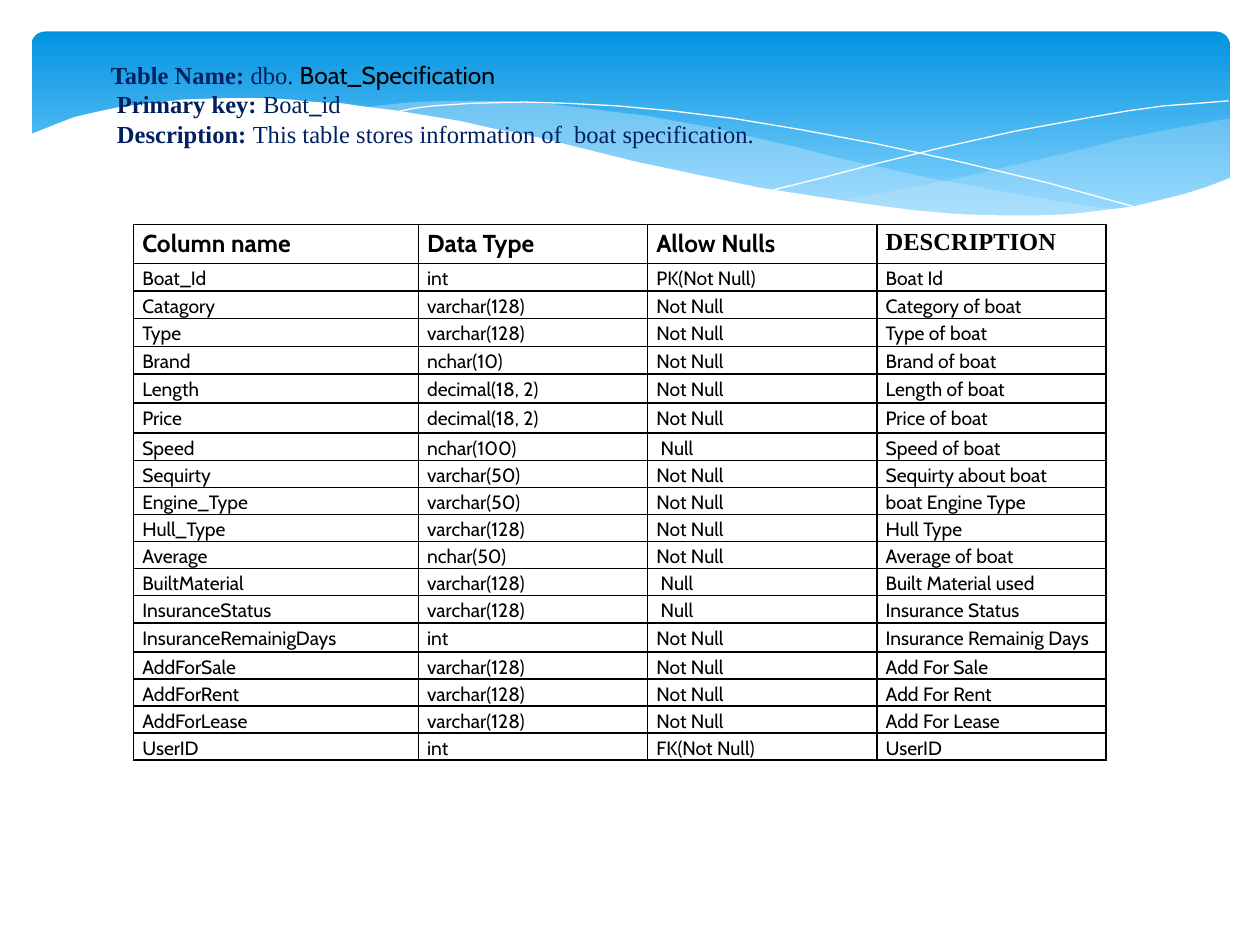
from lxml.etree import SubElement
from pptx import Presentation
from pptx.dml.color import RGBColor
from pptx.enum.shapes import MSO_SHAPE
from pptx.enum.text import MSO_ANCHOR, MSO_AUTO_SIZE, PP_ALIGN
from pptx.oxml.ns import qn
from pptx.util import Inches, Pt

COLORS = {"sky": "0293E0", "light": "83D3FE", "mist": "C6E7FC",
          "white": "FFFFFF", "black": "000000", "navy": "002060"}
SANS, SERIF = "Cabin", "Times New Roman"

# Outlines of the header waves, in inches
RIGHT_WAVE = [
    (9.76, 0.94), (9.48, 0.99), (9.21, 1.04), (8.91, 1.1), (8.61, 1.18),
    (8.05, 1.31), (7.53, 1.43), (7.06, 1.52), (6.61, 1.6), (6.91, 1.64),
    (7.19, 1.67), (7.45, 1.69), (7.69, 1.71), (7.92, 1.72), (8.35, 1.72),
    (8.63, 1.7), (8.89, 1.66), (9.13, 1.62), (9.35, 1.56), (9.63, 1.47),
    (9.76, 1.41)]
MIDDLE_WAVE = [
    (8.93, 1.67), (8.66, 1.64), (8.07, 1.54), (7.41, 1.42), (6.68, 1.26),
    (6.29, 1.16), (5.98, 1.09), (5.69, 1.02), (5.41, 0.97), (5.14, 0.92),
    (4.89, 0.89), (4.42, 0.83), (3.99, 0.8), (3.61, 0.8), (3.28, 0.81),
    (2.99, 0.84), (2.86, 0.86), (3.23, 0.9), (3.62, 0.97), (4.04, 1.06),
    (4.49, 1.16), (4.91, 1.26), (5.3, 1.35), (5.66, 1.43), (6.01, 1.5),
    (6.34, 1.56), (6.65, 1.61), (6.95, 1.65), (7.22, 1.68), (7.48, 1.7),
    (7.73, 1.72), (7.96, 1.73), (8.28, 1.73), (8.57, 1.71)]
FALLING_LINE = [
    (3.09, 0.9), (3.28, 0.86), (3.44, 0.84), (3.74, 0.82), (4.16, 0.81),
    (4.5, 0.82), (4.89, 0.84), (5.33, 0.88), (5.82, 0.94), (6.36, 1.03),
    (6.95, 1.14), (7.6, 1.28), (8.31, 1.45), (9.07, 1.66)]
RISING_LINE = [
    (6.13, 1.51), (6.53, 1.41), (6.95, 1.3), (7.48, 1.17), (8.06, 1.04),
    (8.66, 0.93), (8.95, 0.88), (9.24, 0.84), (9.51, 0.82), (9.75, 0.8)]
WHITE_WAVE = [
    (9.77, 1.41), (9.59, 1.48), (9.4, 1.54), (9.2, 1.59), (8.99, 1.64),
    (8.75, 1.67), (8.5, 1.7), (8.23, 1.71), (7.93, 1.71), (7.61, 1.7),
    (7.26, 1.67), (6.88, 1.62), (6.48, 1.56), (6.03, 1.49), (5.55, 1.39),
    (5.03, 1.28), (4.47, 1.14), (4.18, 1.07), (3.91, 1.02), (3.65, 0.96),
    (3.4, 0.92), (3.16, 0.88), (2.92, 0.85), (2.71, 0.82), (2.5, 0.81),
    (2.3, 0.79), (2.11, 0.78), (1.77, 0.78), (1.46, 0.79), (1.19, 0.82),
    (0.95, 0.85), (0.76, 0.89), (0.59, 0.93), (0.46, 0.98), (0.36, 1.02),
    (0.23, 1.07), (0.23, 2.24), (9.77, 2.24)]

HEADER = ["Column name", "Data Type", "Allow Nulls", "DESCRIPTION"]
FIELDS = [
    ("Boat_Id", "int", "PK(Not Null)", "Boat Id"),
    ("Catagory", "varchar(128)", "Not Null", "Category of boat"),
    ("Type", "varchar(128)", "Not Null", "Type of boat"),
    ("Brand", "nchar(10)", "Not Null", "Brand of boat"),
    ("Length", "decimal(18, 2)", "Not Null", "Length of boat"),
    ("Price", "decimal(18, 2)", "Not Null", "Price of boat"),
    ("Speed", "nchar(100)", " Null", "Speed of boat"),
    ("Sequirty", "varchar(50)", "Not Null", "Sequirty about boat"),
    ("Engine_Type", "varchar(50)", "Not Null", "boat Engine Type"),
    ("Hull_Type", "varchar(128)", "Not Null", "Hull Type"),
    ("Average", "nchar(50)", "Not Null", "Average of boat"),
    ("BuiltMaterial", "varchar(128)", " Null", "Built Material used"),
    ("InsuranceStatus", "varchar(128)", " Null", "Insurance Status"),
    ("InsuranceRemainigDays", "int", "Not Null", "Insurance Remainig Days"),
    ("AddForSale", "varchar(128)", "Not Null", "Add For Sale"),
    ("AddForRent", "varchar(128)", "Not Null", "Add For Rent"),
    ("AddForLease", "varchar(128)", "Not Null", "Add For Lease"),
    ("UserID", "int", "FK(Not Null)", "UserID"),
]
COLUMN_WIDTHS = [2.26, 1.82, 1.82, 1.82]
ROW_HEIGHTS = [0.31] + [0.22] * 4 + [0.23, 0.24] + [0.21] * 7 + [0.23] + [0.21] * 4

# Title lines as (text, bold, font, colour)
TITLE = [
    [("Table Name: ", True, SERIF, "navy"), ("dbo. ", False, SERIF, "navy"),
     ("Boat_Specification", False, SANS, "black")],
    [(" Primary key: ", True, SERIF, "navy"), ("Boat", False, SERIF, "navy"),
     ("_", True, SERIF, "navy"), ("id", False, SERIF, "navy")],
    [(" Description: ", True, SERIF, "navy"),
     ("This table stores information of  boat specification.", False, SERIF, "navy")],
]


def color(name):
    return RGBColor.from_string(COLORS[name])


def assign(target, values):
    for name, value in values.items():
        setattr(target, name, value)


class SlideBuilder:
    def __init__(self, page):
        self.page = page

    def band(self, left, top, width, height):
        shape = self.page.shapes.add_shape(
            MSO_SHAPE.ROUNDED_RECTANGLE, *map(Inches, (left, top, width, height)))
        shape.adjustments[0] = 0.07
        shape.shadow.inherit = False
        shape.line.fill.background()
        shape.fill.gradient()
        shape.fill.gradient_angle = 270
        stops = zip(shape.fill.gradient_stops, ("sky", "light"), (0, 0.9))
        for stop, name, position in stops:
            stop.color.rgb = color(name)
            stop.position = position

    def outline(self, points, closed):
        start, *rest = [(Inches(x), Inches(y)) for x, y in points]
        builder = self.page.shapes.build_freeform(*start)
        builder.add_line_segments(rest, close=closed)
        shape = builder.convert_to_shape()
        shape.shadow.inherit = False
        return shape

    def wave(self, points, name, opacity=100):
        shape = self.outline(points, True)
        shape.line.fill.background()
        shape.fill.solid()
        shape.fill.fore_color.rgb = color(name)
        if opacity < 100:
            tint = shape.element.spPr.find(".//" + qn("a:srgbClr"))
            SubElement(tint, qn("a:alpha")).set("val", str(opacity * 1000))

    def curve(self, points):
        shape = self.outline(points, False)
        shape.fill.background()
        shape.line.color.rgb = color("white")
        shape.line.width = Pt(0)

    def add_span(self, para, text, size, bold, font, name):
        span = para.add_run()
        span.text = text
        assign(span.font, {"size": Pt(size), "bold": bold, "name": font})
        span.font.color.rgb = color(name)

    def title(self, lines, left, top, width, height):
        box = self.page.shapes.title
        assign(box, {"left": Inches(left), "top": Inches(top),
                     "width": Inches(width), "height": Inches(height)})
        frame = box.text_frame
        assign(frame, {"word_wrap": True, "vertical_anchor": MSO_ANCHOR.MIDDLE,
                       "auto_size": MSO_AUTO_SIZE.SHAPE_TO_FIT_TEXT})
        for index, spans in enumerate(lines):
            para = frame.add_paragraph() if index else frame.paragraphs[0]
            para.alignment = PP_ALIGN.LEFT
            para._p.get_or_add_pPr().set("indent", str(Inches(0.25)))
            for text, bold, font, name in spans:
                self.add_span(para, text, 14, bold, font, name)
        # Bring the title in front of the waves
        box.element.getparent().append(box.element)

    def border(self, cell):
        properties = cell._tc.get_or_add_tcPr()
        for side in ("lnL", "lnR", "lnT", "lnB"):
            edge = SubElement(properties, qn("a:" + side), w=str(Pt(1)))
            fill = SubElement(edge, qn("a:solidFill"))
            SubElement(fill, qn("a:srgbClr"), val=COLORS["black"])

    def table(self, rows, left, top, widths, heights):
        grid = self.page.shapes.add_table(
            len(rows), len(widths), Inches(left), Inches(top),
            Inches(sum(widths)), Inches(sum(heights))).table
        assign(grid, {"first_row": False, "horz_banding": False})
        for column, width in zip(grid.columns, widths):
            column.width = Inches(width)
        for row, height, texts in zip(grid.rows, heights, rows):
            row.height = Inches(height)
            heading = texts is rows[0]
            for cell, text in zip(row.cells, texts):
                assign(cell, {"margin_left": Inches(0.07), "margin_right": Inches(0.07),
                              "margin_top": 0, "margin_bottom": 0})
                self.border(cell)
                cell.fill.background()
                para = cell.text_frame.paragraphs[0]
                para.line_spacing = 1.15
                font = SERIF if text == "DESCRIPTION" else SANS
                self.add_span(para, text, 14 if heading else 11, heading, font, "black")


def main():
    deck = Presentation()
    assign(deck, {"slide_width": Inches(10), "slide_height": Inches(7.5)})
    slide = SlideBuilder(deck.slides.add_slide(deck.slide_layouts[5]))

    # Header band with waves
    slide.band(0.25, 0.25, 9.51, 1.56)
    slide.wave(RIGHT_WAVE, "mist", 29)
    slide.wave(MIDDLE_WAVE, "mist", 40)
    slide.curve(FALLING_LINE)
    slide.curve(RISING_LINE)
    slide.wave(WHITE_WAVE, "white")

    # Field list and title
    slide.table([HEADER] + FIELDS, 1.06, 1.78, COLUMN_WIDTHS, ROW_HEIGHTS)
    slide.title(TITLE, 0.53, 0.42, 8.25, 0.81)
    deck.save("out.pptx")


if __name__ == "__main__":
    main()
